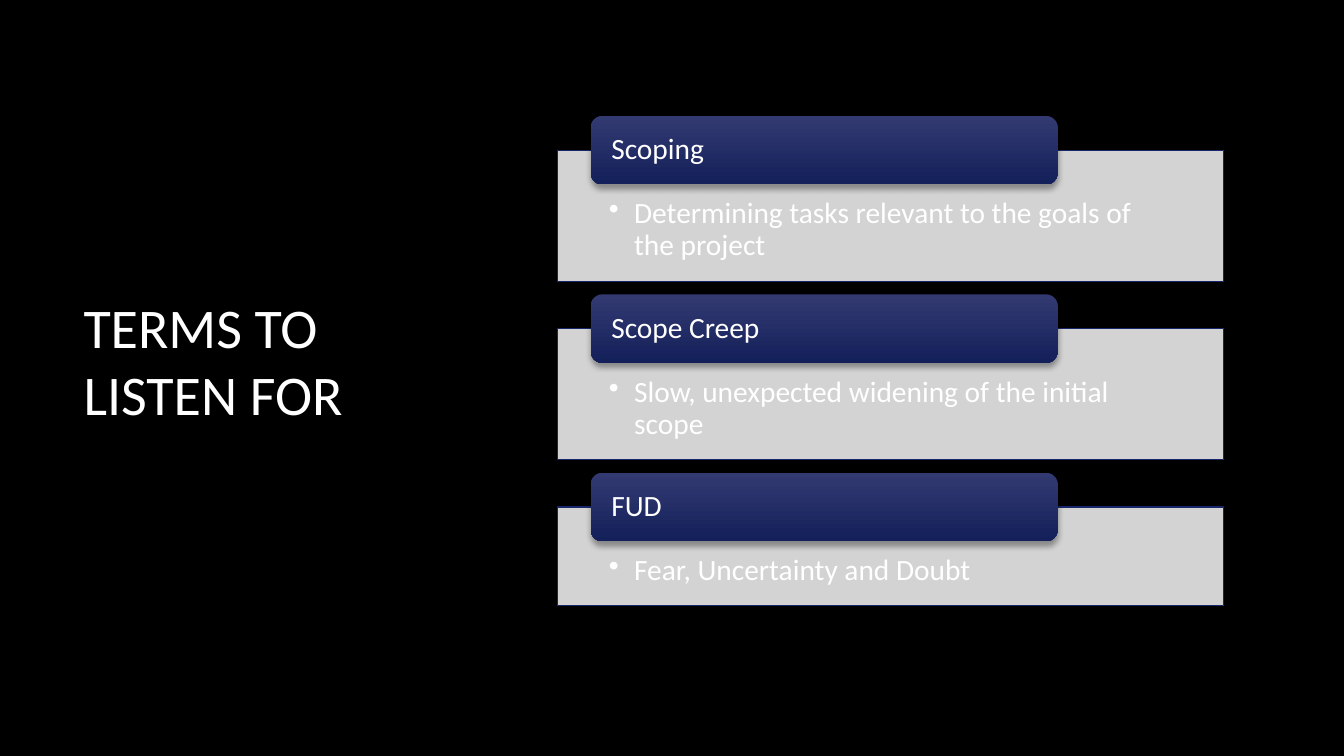
from dataclasses import dataclass

import pptx
import pptx.dml.color
import pptx.enum.shapes
import pptx.enum.text
import pptx.oxml
import pptx.oxml.ns
import pptx.util
from pptx.util import Inches

Color = pptx.dml.color.RGBColor.from_string
Kind = pptx.enum.shapes.MSO_SHAPE
Anchor = pptx.enum.text.MSO_ANCHOR
Align = pptx.enum.text.PP_ALIGN


@dataclass(frozen=True)
class Theme:
    font: str = "Calibri"
    back: str = "000000"
    text: str = "FFFFFF"
    card: str = "EBEBEB"
    edge: str = "18276C"
    tab: tuple[str, str] = ("333A72", "14205A")
    title: int = 40
    body: int = 21


@dataclass(frozen=True)
class Term:
    name: str
    note: str
    tall: float


THEME = Theme()
TERMS = [
    Term("Scoping", "Determining tasks relevant to the goals of the project", 1.3),
    Term("Scope Creep", "Slow, unexpected widening of the initial scope", 1.3),
    Term("FUD", "Fear, Uncertainty and Doubt", 0.98),
]
TOP, RISE, GAP = 1.15, 0.34, 0.13
SHADOW = (
    '<a:outerShdw %s blurRad="50800" dist="38100" dir="5400000" rotWithShape="0">'
    '<a:srgbClr val="000000"><a:alpha val="35000"/></a:srgbClr></a:outerShdw>'
    % pptx.oxml.ns.nsdecls("a")
)
BULLET = '<a:buChar %s char="•"/>' % pptx.oxml.ns.nsdecls("a")
ALPHA = '<a:alpha %s val="90000"/>' % pptx.oxml.ns.nsdecls("a")


def write(shape, text: str, size: int, anchor, pads: tuple, space: float,
          bullet: bool = False) -> None:
    frame = shape.text_frame
    frame.word_wrap = True
    frame.vertical_anchor = anchor
    (frame.margin_left, frame.margin_top,
     frame.margin_right, frame.margin_bottom) = map(Inches, pads)
    para = frame.paragraphs[0]
    para.text = text
    para.alignment = Align.LEFT
    para.line_spacing = space
    if bullet:
        para.level = 1
        props = para._p.get_or_add_pPr()
        props.set("marL", str(Inches(0.25)))
        props.set("indent", str(Inches(-0.25)))
        props.append(pptx.oxml.parse_xml(BULLET))
    para.font.name = THEME.font
    para.font.size = pptx.util.Pt(size)
    para.font.color.rgb = Color(THEME.text)


def add_card(group, term: Term, top: float) -> None:
    card = group.shapes.add_shape(
        Kind.RECTANGLE, Inches(5.53), Inches(top), Inches(6.61), Inches(term.tall))
    card.shadow.inherit = False
    card.fill.solid()
    card.fill.fore_color.rgb = Color(THEME.card)
    tint = card._element.spPr.find(
        pptx.oxml.ns.qn("a:solidFill")).find(pptx.oxml.ns.qn("a:srgbClr"))
    tint.append(pptx.oxml.parse_xml(ALPHA))
    card.line.color.rgb = Color(THEME.edge)
    card.line.width = pptx.util.Pt(0.75)
    write(card, term.note, THEME.body, Anchor.TOP, (0.51, 0.48, 0.51, 0.16), 0.9, True)


def add_tab(group, term: Term, top: float) -> None:
    tab = group.shapes.add_shape(
        Kind.ROUNDED_RECTANGLE, Inches(5.86), Inches(top), Inches(4.63), Inches(0.68))
    tab.fill.gradient()
    tab.fill.gradient_angle = 270
    for stop, color in zip(tab.fill.gradient_stops, THEME.tab):
        stop.color.rgb = Color(color)
    tab.line.fill.background()
    tab.shadow.inherit = False
    effect = tab._element.spPr.find(pptx.oxml.ns.qn("a:effectLst"))
    effect.append(pptx.oxml.parse_xml(SHADOW))
    write(tab, term.name, THEME.body, Anchor.MIDDLE, (0.17, 0, 0.17, 0), 0.9)


def main() -> None:
    deck = pptx.Presentation()
    deck.slide_width, deck.slide_height = Inches(13.33), Inches(7.5)
    slide = deck.slides.add_slide(deck.slide_layouts[6])
    slide.background.fill.solid()
    slide.background.fill.fore_color.rgb = Color(THEME.back)
    title = slide.shapes.add_textbox(
        Inches(0.73), Inches(1.56), Inches(3.31), Inches(4.02))
    write(title, "TERMS TO LISTEN FOR", THEME.title, Anchor.MIDDLE,
          (0.1, 0.05, 0.1, 0.05), 1.0)
    group = slide.shapes.add_group_shape()
    top = TOP
    for term in TERMS:
        add_card(group, term, top + RISE)
        add_tab(group, term, top)
        top += RISE + term.tall + GAP
    deck.save("out.pptx")


if __name__ == "__main__":
    main()
